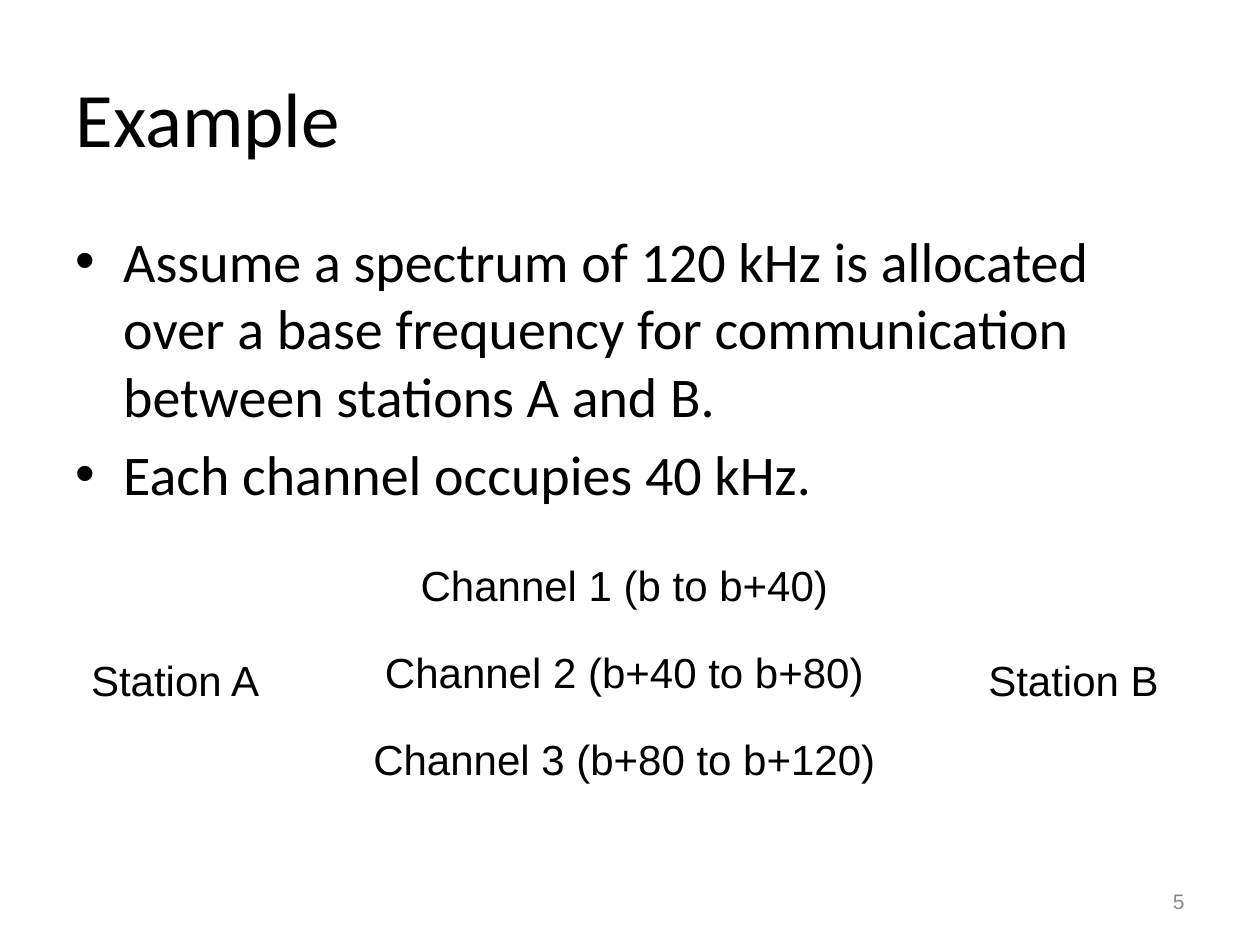
from dataclasses import dataclass

from lxml import etree
from pptx import Presentation
from pptx.dml.color import RGBColor
from pptx.enum import text
from pptx.oxml import ns
from pptx.util import Inches, Pt

# Content
TITLE = "Example"
POINTS = [
    "Assume a spectrum of 120 kHz is allocated over a base frequency "
    "for communication between stations A and B.",
    "Each channel occupies 40 kHz.",
]
STATIONS = {0: "Station A", 2: "Station B"}  # by table column
CHANNELS = [
    "Channel 1 (b to b+40)",
    "Channel 2 (b+40 to b+80)",
    "Channel 3 (b+80 to b+120)",
]
PAGE = "5"

# Layout in inches
TITLE_BOX = (0.5, 0.3, 9, 1.25)
POINTS_BOX = (0.5, 1.75, 9, 4.95)
TABLE_BOX = (0.5, 4.42, 8.91, 2.08)
PAGE_BOX = (7.17, 6.95, 2.33, 0.4)
COLUMNS = (1.78, 5.35, 1.78)
INDENT = 0.38


@dataclass(frozen=True)
class Theme:
    heading_font: str = "Calibri"
    label_font: str = "Arial"
    ink: RGBColor = RGBColor(0, 0, 0)
    muted: RGBColor = RGBColor(0x88, 0x88, 0x88)
    title: int = 44
    body: int = 32
    label: int = 24
    page: int = 12
    plain_table: str = "{2D5ABB26-0587-4C30-8999-92F81FD0307C}"


THEME = Theme()


def inches(box):
    return [Inches(length) for length in box]


def style(paragraph, font, size, color=THEME.ink, align=text.PP_ALIGN.LEFT):
    paragraph.alignment = align
    for run in paragraph.runs:
        run.font.name = font
        run.font.size = Pt(size)
        run.font.color.rgb = color


def add_bullet(paragraph):
    properties = paragraph._p.get_or_add_pPr()
    properties.set("marL", str(Inches(INDENT)))
    properties.set("indent", str(-Inches(INDENT)))
    etree.SubElement(properties, ns.qn("a:buFont"), typeface=THEME.label_font)
    etree.SubElement(properties, ns.qn("a:buChar"), char="•")


def fill_cell(cell, label):
    cell.text_frame.text = label
    style(cell.text_frame.paragraphs[0], THEME.label_font, THEME.label,
          align=text.PP_ALIGN.CENTER)


deck = Presentation()
deck.slide_width, deck.slide_height = Inches(10), Inches(7.5)
slide = deck.slides.add_slide(deck.slide_layouts[5])

# Title
title = slide.shapes.title
title.left, title.top, title.width, title.height = inches(TITLE_BOX)
title.text_frame.text = TITLE
title.text_frame.vertical_anchor = text.MSO_ANCHOR.MIDDLE
style(title.text_frame.paragraphs[0], THEME.heading_font, THEME.title)

# Bullet points
points = slide.shapes.add_textbox(*inches(POINTS_BOX)).text_frame
points.word_wrap = True
points.text = "\n".join(POINTS)
for index, point in enumerate(points.paragraphs):
    add_bullet(point)
    if index:
        point.space_before = Pt(6.4)
    style(point, THEME.heading_font, THEME.body)

# Channel table, with a station spanning each side
table = slide.shapes.add_table(
    len(CHANNELS), len(COLUMNS), *inches(TABLE_BOX)).table
table.first_row = table.horz_banding = False
table._tbl.tblPr.find(ns.qn("a:tableStyleId")).text = THEME.plain_table
for column, width in zip(table.columns, COLUMNS):
    column.width = Inches(width)
for cell in table.iter_cells():
    cell.fill.background()
for row, channel in enumerate(CHANNELS):
    fill_cell(table.cell(row, 1), channel)
for column, name in STATIONS.items():
    station = table.cell(0, column)
    station.merge(table.cell(len(CHANNELS) - 1, column))
    fill_cell(station, name)
    station.vertical_anchor = text.MSO_ANCHOR.MIDDLE
    station.margin_bottom = Inches(0.15)

# Page number
page = slide.shapes.add_textbox(*inches(PAGE_BOX)).text_frame
page.word_wrap = True
page.vertical_anchor = text.MSO_ANCHOR.MIDDLE
page.text = PAGE
style(page.paragraphs[0], THEME.label_font, THEME.page, THEME.muted,
      text.PP_ALIGN.RIGHT)

deck.save("out.pptx")
